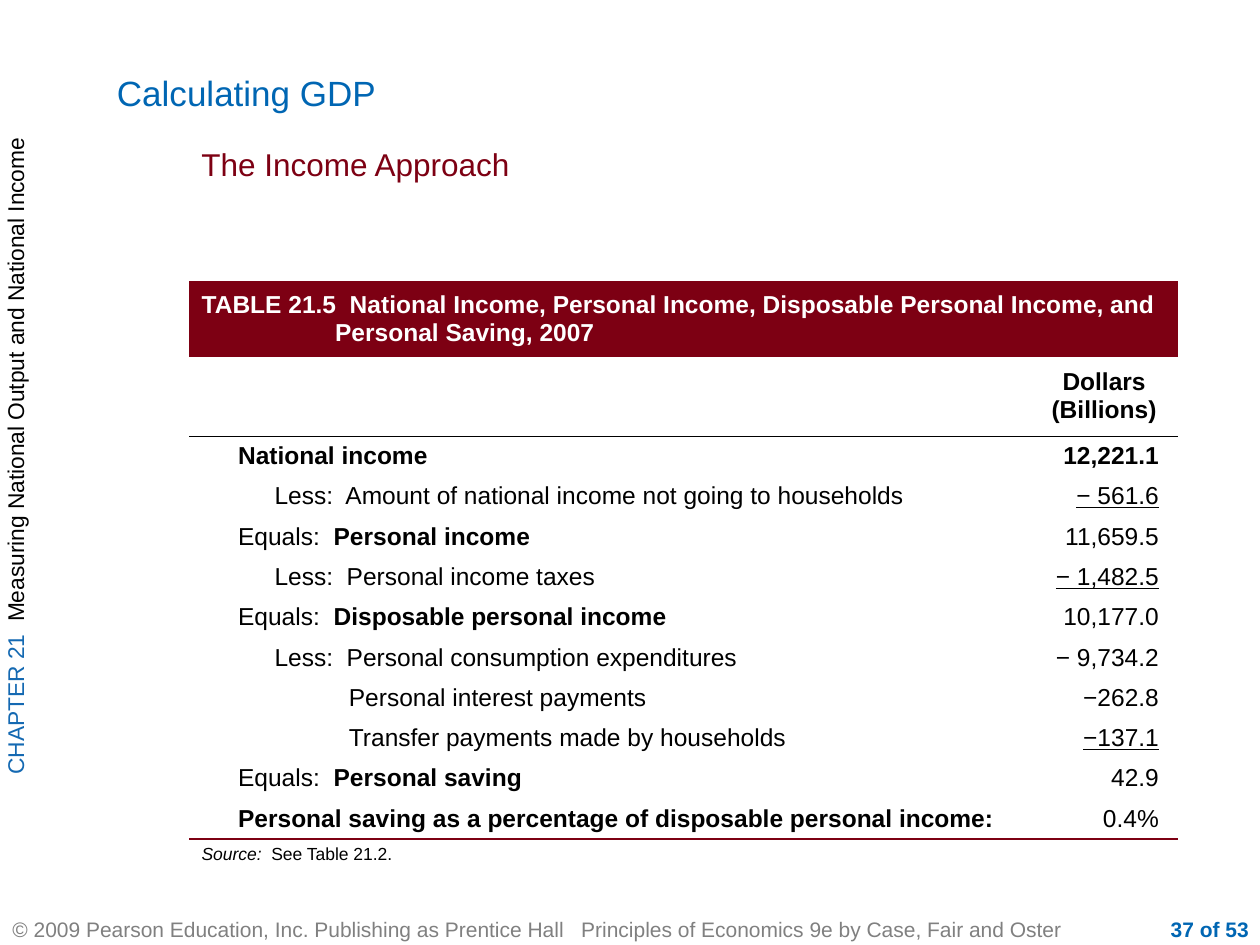
from lxml import etree
from pptx import Presentation
from pptx import util as u
from pptx.dml.color import RGBColor
from pptx.enum import text
from pptx.oxml import ns

BLUE, WINE, BLACK, WHITE, GREY = "0066B3", "7D0013", "000000", "FFFFFF", "808080"
LEFT, MID, RIGHT = text.PP_ALIGN.LEFT, text.PP_ALIGN.CENTER, text.PP_ALIGN.RIGHT
TOP, CENTER, BOTTOM = (text.MSO_ANCHOR.TOP, text.MSO_ANCHOR.MIDDLE,
                       text.MSO_ANCHOR.BOTTOM)
PLAIN = "{2D5ABB26-0587-4C30-8999-92F81FD0307C}"
COLS = [0.24, 0.24, 2.87, 3.23, 1.17]
ROWS = [0.6, 0.63] + [0.32] * 10 + [0.3]
# Each row: level, lead, bold part, amount, underlined amount
ITEMS = [
    (1, "", "National income", "12,221.1", False),
    (2, "Less:  Amount of national income not going to households", "",
     "− 561.6", True),
    (1, "Equals:  ", "Personal income", "11,659.5", False),
    (2, "Less:  Personal income taxes", "", "− 1,482.5", True),
    (1, "Equals:  ", "Disposable personal income", "10,177.0", False),
    (2, "Less:  Personal consumption expenditures", "", "− 9,734.2", False),
    (3, "Personal interest payments", "", "−262.8", False),
    (3, "Transfer payments made by households", "", "−137.1", True),
    (1, "Equals:  ", "Personal saving", "42.9", False),
    (1, "", "Personal saving as a percentage of disposable personal income:",
     "0.4%", False),
]


def color(code):
    """Turn a hex string into a colour."""
    return RGBColor.from_string(code)


def style(par, size, code, bold=None, align=LEFT):
    """Set the font and alignment of a paragraph."""
    par.alignment = align
    par.font.name, par.font.size, par.font.bold = "Arial", u.Pt(size), bold
    par.font.color.rgb = color(code)


def label(slide, box, words, size, code, bold=None, align=LEFT,
          anchor=CENTER, base=0.05):
    """Place one line of text in a box."""
    frame = slide.shapes.add_textbox(*map(u.Inches, box)).text_frame
    frame.word_wrap, frame.vertical_anchor = True, anchor
    frame.margin_bottom = u.Inches(base)
    frame.text = words
    style(frame.paragraphs[0], size, code, bold, align)


def side(slide, box):
    """Place the chapter name running up the left edge."""
    frame = slide.shapes.add_textbox(*map(u.Inches, box)).text_frame
    frame.word_wrap = True
    frame.margin_left = frame.margin_right = 0
    frame._txBody.bodyPr.set("vert", "vert270")
    par = frame.paragraphs[0]
    style(par, 13, BLACK, align=MID)
    run = par.add_run()
    run.text = "CHAPTER 21  "
    run.font.color.rgb = color("1469B2")
    par.add_run().text = "Measuring National Output and National Income"


def indent(par, left, first=0):
    """Indent a paragraph and its first line."""
    props = par._p.get_or_add_pPr()
    props.set("marL", str(u.Inches(left)))
    props.set("indent", str(u.Inches(first)))


def rule(cell, code, width):
    """Draw a line below a cell."""
    line = etree.Element(ns.qn("a:lnB"), w=str(u.Pt(width)))
    fill = etree.SubElement(line, ns.qn("a:solidFill"))
    etree.SubElement(fill, ns.qn("a:srgbClr"), val=code)
    cell._tc.get_or_add_tcPr().insert(0, line)


def fill(cell, words, code=BLACK, bold=None, align=LEFT):
    """Write a cell and return its paragraph."""
    cell.text = words
    for par in cell.text_frame.paragraphs:
        style(par, 14, code, bold, align)
    return cell.text_frame.paragraphs[0]


def blank(slide, box):
    """Add an unstyled table with its columns and rows sized."""
    grid = slide.shapes.add_table(len(ROWS), len(COLS),
                                  *map(u.Inches, box)).table
    grid.first_row = grid.horz_banding = False
    grid._tbl.tblPr.find(ns.qn("a:tableStyleId")).text = PLAIN
    for col, width in zip(grid.columns, COLS):
        col.width = u.Inches(width)
    for row, height in zip(grid.rows, ROWS):
        row.height = u.Inches(height)
        for cell in row.cells:
            cell.margin_top = cell.margin_bottom = 0
            cell.margin_right = u.Inches(0.15)
            cell.vertical_anchor = CENTER
            cell.fill.background()
    return grid


def income(slide, box):
    """Place the income table with its heading and source."""
    grid = blank(slide, box)
    last = len(ROWS) - 1
    head, note = grid.cell(0, 0), grid.cell(last, 0)
    head.merge(grid.cell(0, 4))
    head.fill.solid()
    head.fill.fore_color.rgb = color(WINE)
    par = fill(head, "TABLE 21.5  National Income, Personal Income, Disposable "
               "Personal Income, and Personal Saving, 2007", WHITE, True)
    indent(par, 1.06, -1.06)

    grid.cell(1, 0).merge(grid.cell(1, 2))
    unit = grid.cell(1, 4)
    unit.margin_right = u.Inches(0.1)
    fill(unit, "Dollars\v(Billions)", bold=True, align=MID)

    for row, (level, lead, strong, amount, under) in enumerate(ITEMS, 2):
        name = grid.cell(row, min(level, 2))
        name.merge(grid.cell(row, 3))
        par = fill(name, lead)
        if level == 3:
            indent(par, 0.59)
        if strong:
            run = par.add_run()
            run.text, run.font.bold = strong, True
        par = fill(grid.cell(row, 4), amount, bold=row == 2, align=RIGHT)
        if under:
            par.runs[0].font.underline = True

    note.merge(grid.cell(last, 4))
    note.vertical_anchor, note.margin_top = TOP, u.Inches(0.05)
    par = note.text_frame.paragraphs[0]
    style(par, 10, BLACK)
    for words, slant in (("Source:", True), ("  See Table 21.2.", False)):
        run = par.add_run()
        run.text, run.font.italic = words, slant

    for col in range(len(COLS)):
        rule(grid.cell(1, col), BLACK, 0.45)
        rule(grid.cell(last - 1, col), WINE, 1.08)


def main():
    """Build the slide and save it."""
    deck = Presentation()
    deck.slide_width, deck.slide_height = u.Inches(10), u.Inches(7.5)
    slide = deck.slides.add_slide(deck.slide_layouts[6])
    side(slide, (0.01, 0.08, 0.41, 7.08))
    label(slide, (0, 7.25, 9.17, 0.25),
          "© 2009 Pearson Education, Inc. Publishing as Prentice Hall   "
          "Principles of Economics 9e by Case, Fair and Oster", 12, GREY)
    label(slide, (9, 7.25, 1.01, 0.25), "37 of 53", 12, BLUE, True, RIGHT)
    label(slide, (0.83, 0, 9.17, 1), "Calculating GDP", 20, BLUE,
          anchor=BOTTOM, base=0.1)
    label(slide, (1.5, 1.1, 8.08, 0.42), "The Income Approach", 18, WINE,
          anchor=TOP)
    income(slide, (1.5, 2.23, sum(COLS), sum(ROWS)))
    deck.save("out.pptx")


if __name__ == "__main__":
    main()
